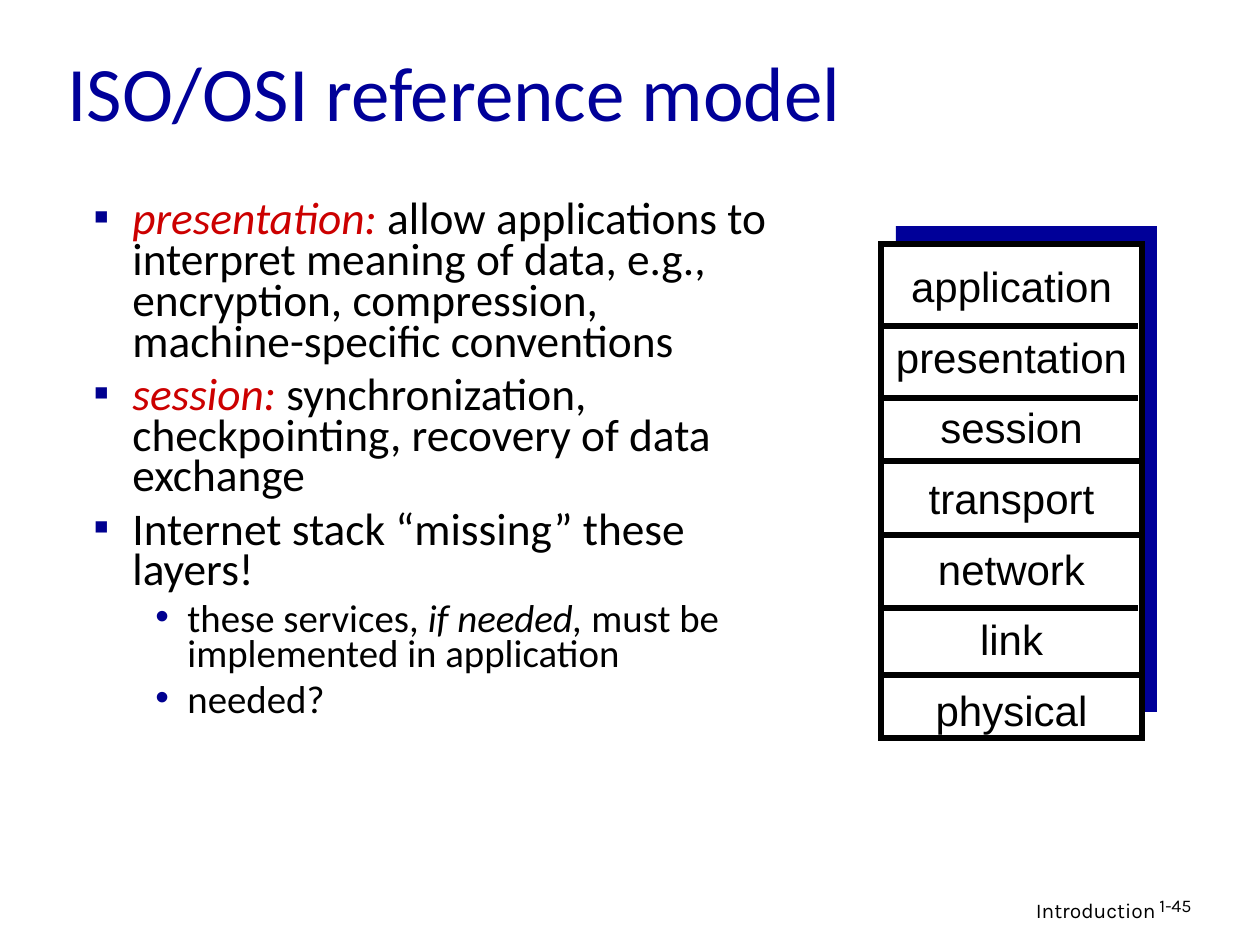
from lxml import etree
from pptx import Presentation
from pptx.dml.color import RGBColor
from pptx.enum.shapes import MSO_CONNECTOR as Connector, MSO_SHAPE as Shape
from pptx.enum.text import MSO_ANCHOR as Anchor, PP_ALIGN as Align
from pptx.oxml.ns import qn
from pptx.util import Emu, Pt

PX = 914400 / 126  # EMU in one px
THEME = {
    "navy": RGBColor(0, 0, 0x99), "bullet": "000090",
    "red": RGBColor(0xCC, 0, 0), "black": RGBColor(0, 0, 0),
    "white": RGBColor(0xFF, 0xFF, 0xFF),
    "title": Pt(44), "body": Pt(25.9), "sub": Pt(22.2),
    "layer": Pt(24), "footer": Pt(12), "number": Pt(10.2),
}


def px(*lengths):
    return [Emu(round(length * PX)) for length in lengths]


def add_text(bounds, paragraphs, para_format, **font_format):
    """Each paragraph is a list of (text, font overrides) spans."""
    box = page.shapes.add_textbox(*px(*bounds))
    frame = box.text_frame
    frame.word_wrap = True
    for index, spans in enumerate(paragraphs):
        para = frame.paragraphs[0] if index == 0 else frame.add_paragraph()
        for name, value in para_format.items():
            if index > 0 or name != "space_before":
                setattr(para, name, value)
        for text, overrides in spans:
            span = para.add_run()
            span.text = text
            for name, value in {**font_format, **overrides}.items():
                target = span.font.color if name == "rgb" else span.font
                setattr(target, name, value)
    return frame


deck = Presentation()
deck.slide_width, deck.slide_height = px(1260, 945)
page = deck.slides.add_slide(deck.slide_layouts[6])

# Title
title = add_text((55, 12, 896, 158), [[("ISO/OSI reference model", {})]], {},
                 name="Calibri", size=THEME["title"], rgb=THEME["navy"])
title.vertical_anchor = Anchor.MIDDLE

# Bulleted explanation
term = {"italic": True, "rgb": THEME["red"]}
sub = {"size": THEME["sub"]}
points = [
    (0, [("presentation:", term),
         (" allow applications to interpret meaning of data, e.g., "
          "encryption, compression, machine-specific conventions", {})]),
    (0, [("session:", term),
         (" synchronization, checkpointing, recovery of data exchange", {})]),
    (0, [("Internet stack “missing” these layers!", {})]),
    (1, [("these services, ", sub), ("if needed,", {**sub, "italic": True}),
         (" must be implemented in application", sub)]),
    (1, [("needed?", sub)]),
]
body = add_text((81, 196, 711, 640), [spans for level, spans in points],
                {"line_spacing": 0.75, "space_before": Pt(7)},
                name="Calibri", size=THEME["body"], rgb=THEME["black"])
bullets = [("▪", 39, 39), ("•", 94, 32)]  # sign, margin, hanging indent
for para, (level, spans) in zip(body.paragraphs, points):
    sign, margin, hanging = bullets[level]
    if level:
        para.level = level
        para.space_before = Pt(6)
    properties = para._p.get_or_add_pPr()
    left, indent = px(margin, -hanging)
    properties.set("marL", str(left))
    properties.set("indent", str(indent))
    color = etree.SubElement(properties, qn("a:buClr"))
    etree.SubElement(color, qn("a:srgbClr"), val=THEME["bullet"])
    etree.SubElement(properties, qn("a:buFont"), typeface="Arial")
    etree.SubElement(properties, qn("a:buChar"), char=sign)

# Layer stack: navy backing, then the framed white box
for bounds, fill, framed in [((896, 226, 261, 486), "navy", False),
                             ((881, 244, 261, 494), "white", True)]:
    panel = page.shapes.add_shape(Shape.RECTANGLE, *px(*bounds))
    panel.shadow.inherit = False
    panel.fill.solid()
    panel.fill.fore_color.rgb = THEME[fill]
    if framed:
        panel.line.color.rgb = THEME["black"]
        panel.line.width = Pt(3)
        outline = panel._element.spPr.find(qn("a:ln"))
        etree.SubElement(outline, qn("a:miter"), lim="800000")
    else:
        panel.line.fill.background()

# Layer names
layers = ["application", "presentation", "session", "transport",
          "network", "link", "physical"]
add_text((875, 268, 273, 471), [[(layer, {})] for layer in layers],
         {"alignment": Align.CENTER, "line_spacing": 0.7,
          "space_before": Pt(20.2)},
         name="Arial", size=THEME["layer"], rgb=THEME["black"])

# Dividers between layers
for left, y in [(878, 326), (878, 398), (880, 461),
                (880, 535), (878, 608), (880, 675)]:
    divider = page.shapes.add_connector(Connector.STRAIGHT,
                                        *px(left, y, left + 260, y))
    divider.line.color.rgb = THEME["black"]
    divider.line.width = Pt(3)
    etree.SubElement(divider._element.spPr, qn("a:effectLst"))

# Footer and page number
add_text((769, 891, 399, 39), [[("Introduction", {})]],
         {"alignment": Align.RIGHT},
         name="Karla", size=THEME["footer"], rgb=THEME["black"])
add_text((1147, 891, 93, 38), [[("1-45", {})]], {"line_spacing": 0.9},
         name="Karla", size=THEME["number"], rgb=THEME["black"])

deck.save("out.pptx")
